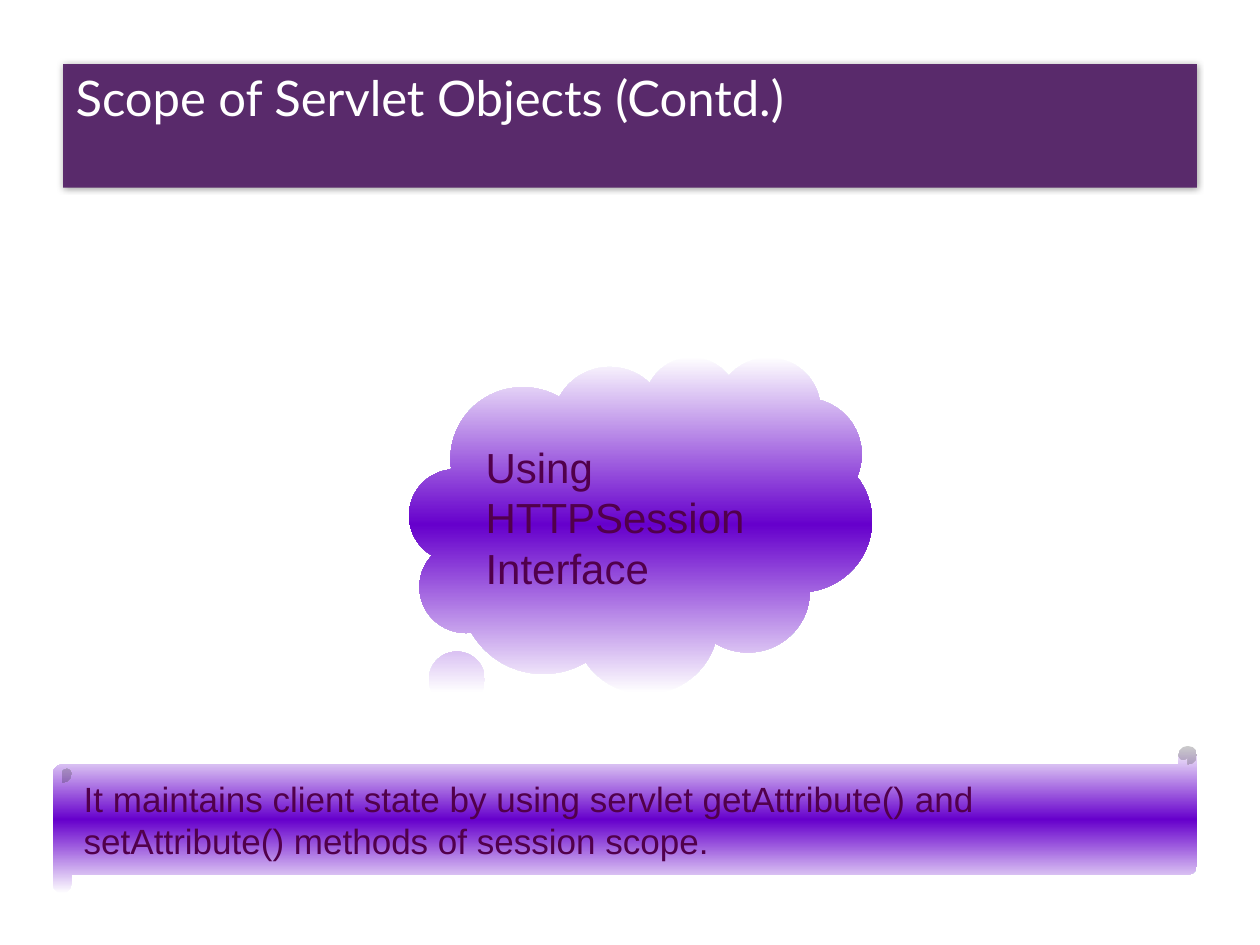
import copy

import pptx
import pptx.dml.color
import pptx.enum.shapes
import pptx.enum.text
import pptx.oxml
import pptx.oxml.ns
import pptx.util
from pptx.util import Inches

SHAPES = pptx.enum.shapes.MSO_SHAPE
ANCHOR = pptx.enum.text.MSO_ANCHOR
LEFT = pptx.enum.text.PP_ALIGN.LEFT
qn = pptx.oxml.ns.qn

PLUM = "562469"
WHITE = "FFFFFF"
VIOLET = "6600CC"
TEXT = "51004B"

TITLE_SHADOW = """
<a:effectLst xmlns:a="http://schemas.openxmlformats.org/drawingml/2006/main">
  <a:outerShdw blurRad="50800" dist="0" algn="ctr" rotWithShape="0">
    <a:srgbClr val="000000"><a:alpha val="40000"/></a:srgbClr>
  </a:outerShdw>
</a:effectLst>"""


def rgb(value):
    return pptx.dml.color.RGBColor.from_string(value)


def place(sp, box):
    sp.left, sp.top, sp.width, sp.height = (Inches(v) for v in box)


def write(sp, text, size, font, color, anchor):
    tf = sp.text_frame
    tf.word_wrap = True
    tf.vertical_anchor = anchor
    p = tf.paragraphs[0]
    p.alignment = LEFT
    r = p.add_run()
    r.text = text
    r.font.size = pptx.util.Pt(size)
    r.font.name = font
    r.font.color.rgb = rgb(color)
    return p


def fill_gradient(sp, colors):
    """Fill from top to bottom with evenly spaced colours."""
    sp.fill.gradient()
    sp.fill.gradient_angle = 270
    stops = sp.fill.gradient_stops
    gs_list = sp._element.spPr.find(".//" + qn("a:gsLst"))
    for _ in range(len(colors) - len(stops)):
        gs_list.append(copy.deepcopy(gs_list[0]))
    for i, (stop, color) in enumerate(zip(sp.fill.gradient_stops, colors)):
        stop.position = i / (len(colors) - 1)
        stop.color.rgb = rgb(color)


def add_title(s, box, text):
    sp = s.shapes.title
    place(sp, box)
    sp.fill.solid()
    sp.fill.fore_color.rgb = rgb(PLUM)
    color = sp._element.spPr.find(".//" + qn("a:srgbClr"))
    color.append(color.makeelement(qn("a:alpha"), {"val": "95000"}))
    sp.line.fill.background()
    sp._element.spPr.append(pptx.oxml.parse_xml(TITLE_SHADOW))
    p = write(sp, text, 28, "Lato", WHITE, ANCHOR.TOP)
    p.line_spacing = 1.05
    tf = sp.text_frame
    tf.auto_size = pptx.enum.text.MSO_AUTO_SIZE.NONE
    tf.margin_left = tf.margin_right = Inches(0.1)
    tf.margin_top, tf.margin_bottom = 0, Inches(0.05)


def add_banner(s, box, shape, adjustments, text, size):
    """Add a preset shape with the violet gradient and its caption."""
    sp = s.shapes.add_shape(shape, *(Inches(v) for v in box))
    for i, value in enumerate(adjustments):
        sp.adjustments[i] = value
    sp.shadow.inherit = False
    sp.line.fill.background()
    fill_gradient(sp, [WHITE, VIOLET, WHITE])
    write(sp, text, size, "Arial", TEXT, ANCHOR.MIDDLE)


def main():
    prs = pptx.Presentation()
    prs.slide_width, prs.slide_height = Inches(10), Inches(7.5)
    s = prs.slides.add_slide(prs.slide_layouts.get_by_name("Title Only"))
    add_title(s, (0.5, 0.51, 9, 0.98), "Scope of Servlet Objects (Contd.)")
    add_banner(s, (3.25, 2.83, 3.67, 2.67), SHAPES.CLOUD_CALLOUT, (-0.57, 0.66),
               "Using HTTPSession Interface", 24)
    add_banner(s, (0.42, 5.92, 9.08, 1.17), SHAPES.HORIZONTAL_SCROLL, (0.125,),
               "It maintains client state by using servlet getAttribute() and "
               "setAttribute() methods of session scope.", 20)
    prs.save("out.pptx")


if __name__ == "__main__":
    main()
